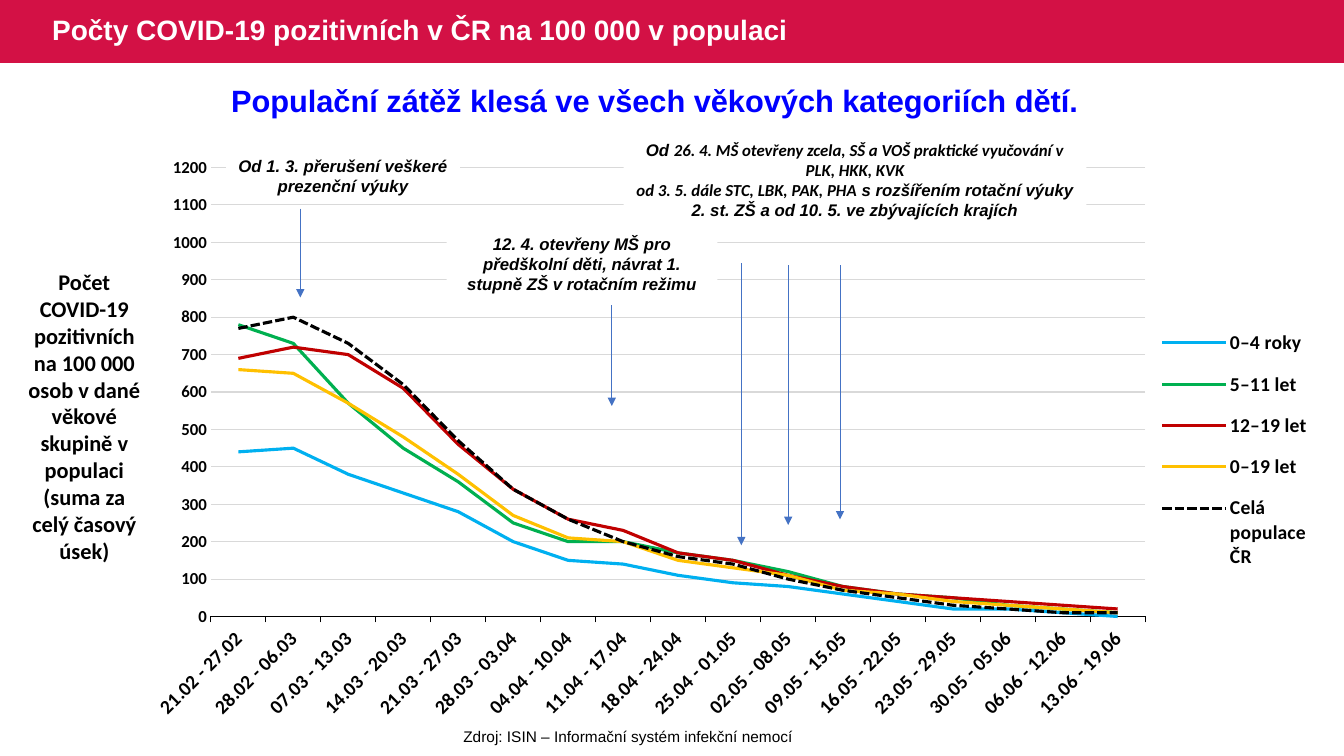
from pptx import Presentation
from pptx.chart.data import CategoryChartData
from pptx.dml.color import RGBColor
from pptx.enum.chart import XL_CHART_TYPE, XL_LEGEND_POSITION, XL_TICK_MARK
from pptx.enum.dml import MSO_LINE
from pptx.enum.shapes import MSO_CONNECTOR, MSO_SHAPE
from pptx.enum.text import MSO_ANCHOR, PP_ALIGN
from pptx.oxml import parse_xml
from pptx.oxml.ns import nsdecls, qn
from pptx.util import Pt

LINE_CHART = XL_CHART_TYPE.LINE
LEGEND_RIGHT = XL_LEGEND_POSITION.RIGHT
TICK_NONE, TICK_OUT = XL_TICK_MARK.NONE, XL_TICK_MARK.OUTSIDE
STRAIGHT, RECT = MSO_CONNECTOR.STRAIGHT, MSO_SHAPE.RECTANGLE
CENTER, LEFT = PP_ALIGN.CENTER, PP_ALIGN.LEFT
TOP, MIDDLE = MSO_ANCHOR.TOP, MSO_ANCHOR.MIDDLE
SYS_DASH = MSO_LINE.SQUARE_DOT

WHITE = RGBColor(0xFF, 0xFF, 0xFF)
BLACK = RGBColor(0x00, 0x00, 0x00)
CRIMSON = RGBColor(0xD3, 0x11, 0x45)
BLUE = RGBColor(0x00, 0x00, 0xFF)
ARROW_BLUE = RGBColor(0x44, 0x72, 0xC4)
GRID_GREY = RGBColor(0xD9, 0xD9, 0xD9)
SKY = RGBColor(0x00, 0xB0, 0xF0)
GREEN = RGBColor(0x00, 0xB0, 0x50)
RED = RGBColor(0xC0, 0x00, 0x00)
AMBER = RGBColor(0xFF, 0xC0, 0x00)


def write(sp, runs, size, color=BLACK, bold=True, italic=False, align=CENTER, anchor=TOP):
    """Fill a shape with one paragraph of (text, font name) runs."""
    tf = sp.text_frame
    tf.word_wrap = True
    tf.vertical_anchor = anchor
    p = tf.paragraphs[0]
    p.alignment = align
    font = p.font
    font.size, font.bold, font.italic = Pt(size), bold, italic
    font.color.rgb = color
    for text, name in runs:
        if text == "\n":
            p.add_line_break()
            continue
        r = p.add_run()
        r.text = text
        r.font.name = name
    return p


def manual_layout(x, y, w, h, target=""):
    """Chart layout given as fractions of the chart area."""
    return parse_xml(
        f'<c:layout {nsdecls("c")}><c:manualLayout>{target}'
        '<c:xMode val="edge"/><c:yMode val="edge"/>'
        f'<c:x val="{x}"/><c:y val="{y}"/><c:w val="{w}"/><c:h val="{h}"/>'
        '</c:manualLayout></c:layout>')


prs = Presentation()
prs.slide_width, prs.slide_height = Pt(960), Pt(540)
s = prs.slides.add_slide(prs.slide_layouts[5])

# Title on its banner
title = s.shapes.title
title.left, title.top, title.width, title.height = Pt(30), Pt(0), Pt(603), Pt(45)
p = write(title, [("Počty COVID-19 pozitivních v ČR na 100 000 v populaci", "Arial")],
          20, WHITE, align=LEFT, anchor=MIDDLE)
p.line_spacing = 0.9
banner = s.shapes.add_shape(RECT, Pt(0), Pt(0), prs.slide_width, Pt(45))
banner.shadow.inherit = False
banner.fill.solid()
banner.fill.fore_color.rgb = CRIMSON
banner.line.fill.background()
title._element.addprevious(banner._element)

# Chart data
cd = CategoryChartData(number_format="0")
cd.categories = [
    "21.02 - 27.02", "28.02 - 06.03", "07.03 - 13.03", "14.03 - 20.03", "21.03 - 27.03",
    "28.03 - 03.04", "04.04 - 10.04", "11.04 - 17.04", "18.04 - 24.04", "25.04 - 01.05",
    "02.05 - 08.05", "09.05 - 15.05", "16.05 - 22.05", "23.05 - 29.05", "30.05 - 05.06",
    "06.06 - 12.06", "13.06 - 19.06"]
age_groups = [
    ("0–4 roky", SKY,
     [440, 450, 380, 330, 280, 200, 150, 140, 110, 90, 80, 60, 40, 20, 20, 10, 0]),
    ("5–11 let", GREEN,
     [780, 730, 570, 450, 360, 250, 200, 200, 170, 150, 120, 80, 60, 50, 30, 20, 10]),
    ("12–19 let", RED,
     [690, 720, 700, 610, 460, 340, 260, 230, 170, 150, 110, 80, 60, 50, 40, 30, 20]),
    ("0–19 let", AMBER,
     [660, 650, 570, 480, 380, 270, 210, 200, 150, 130, 110, 70, 60, 40, 30, 20, 10]),
    ("Celá populace ČR", BLACK,
     [770, 800, 730, 620, 470, 340, 260, 200, 160, 140, 100, 70, 50, 30, 20, 10, 10]),
]
for name, color, values in age_groups:
    cd.add_series(name, values)

# Line chart
chart = s.shapes.add_chart(LINE_CHART, Pt(109.5), Pt(110), Pt(839.5), Pt(422.5), cd).chart
chart.has_title = False
chart.font.name, chart.font.size, chart.font.bold = "Calibri", Pt(14), True
chart.font.color.rgb = BLACK
chart.plots[0].vary_by_categories = False
for series, (name, color, values) in zip(chart.plots[0].series, age_groups):
    series.smooth = False
    series.format.line.width = Pt(2.25)
    series.format.line.color.rgb = color
series.format.line.dash_style = SYS_DASH

# Axes
weeks, cases = chart.category_axis, chart.value_axis
weeks.major_tick_mark = TICK_OUT
weeks.format.line.color.rgb = BLACK
weeks.format.line.width = Pt(0.75)
weeks.tick_labels.font.size = Pt(14)
weeks._element.find(qn("c:txPr")).find(qn("a:bodyPr")).set("rot", "-2700000")
cases.minimum_scale, cases.maximum_scale, cases.major_unit = 0, 1200, 100
cases.major_tick_mark = TICK_NONE
cases.format.line.fill.background()
cases.tick_labels.font.size = Pt(12)
cases.has_major_gridlines = True
cases.major_gridlines.format.line.color.rgb = GRID_GREY
cases.major_gridlines.format.line.width = Pt(0.75)
if cases._element.find(qn("c:crossBetween")) is None:
    cases._element.find(qn("c:crosses")).addnext(
        parse_xml(f'<c:crossBetween {nsdecls("c")} val="between"/>'))

# Legend and plot placement
chart.has_legend = True
legend = chart.legend
legend.position = LEGEND_RIGHT
legend.include_in_layout = False
legend.font.size = Pt(14)
for old in legend._element.findall(qn("c:layout")):
    legend._element.remove(old)
legend._element.find(qn("c:legendPos")).addnext(manual_layout(0.85, 0.27, 0.14, 0.46))
plot_area = chart._chartSpace.chart.plotArea
for old in plot_area.findall(qn("c:layout")):
    plot_area.remove(old)
plot_area.insert(0, manual_layout(0.049, 0.023, 0.795, 0.759,
                                  '<c:layoutTarget val="inner"/>'))

# Headline, axis caption and source
captions = [
    (21, 55, 893.5, 34, "Populační zátěž klesá ve všech věkových kategoriích dětí.",
     "Arial", 22, BLUE, True),
    (11, 188, 98.5, 220.5, "Počet COVID-19 pozitivních na 100 000 osob v dané věkové "
     "skupině v populaci (suma za celý časový úsek)", "Calibri", 16, BLACK, True),
    (170, 515.5, 557.5, 21, "Zdroj: ISIN – Informační systém infekční nemocí",
     "Arial", 11, BLACK, False),
]
for x, y, w, h, text, face, size, color, bold in captions:
    sp = s.shapes.add_textbox(Pt(x), Pt(y), Pt(w), Pt(h))
    write(sp, [(text, face)], size, color, bold)

# White notes on school measures
notes = [
    (161.5, 107.5, 167, 36, [("Od 1. 3. přerušení veškeré prezenční výuky", "Arial")]),
    (319, 163.5, 193.5, 51, [("12. 4. otevřeny MŠ pro předškolní děti, návrat 1. stupně "
                              "ZŠ v rotačním režimu", "Arial")]),
    (445.5, 96, 330.5, 65.5, [
        ("Od ", "Arial"),
        ("26. 4. MŠ otevřeny zcela, SŠ a VOŠ praktické vyučování v PLK, HKK, KVK", "Calibri"),
        ("\n", None),
        ("od 3. 5. dále STC, LBK, PAK, PHA", "Calibri"),
        (" s rozšířením rotační výuky 2. st. ZŠ a od 10. 5. ve zbývajících krajích", "Arial")]),
]
for x, y, w, h, runs in notes:
    sp = s.shapes.add_shape(RECT, Pt(x), Pt(y), Pt(w), Pt(h))
    sp.shadow.inherit = False
    sp.fill.solid()
    sp.fill.fore_color.rgb = WHITE
    sp.line.fill.background()
    write(sp, runs, 12, italic=True)

# Arrows from the notes to the curves: x, top, bottom
arrows = [(214.5, 149, 212.5), (437, 218, 290), (529.5, 188, 389.5),
          (563, 189.5, 375), (600, 189.5, 371)]
for x, top, bottom in arrows:
    arrow = s.shapes.add_connector(STRAIGHT, Pt(x), Pt(top), Pt(x), Pt(bottom))
    arrow.line.color.rgb = ARROW_BLUE
    arrow.line.width = Pt(0.5)
    arrow.line._get_or_add_ln().append(
        parse_xml(f'<a:tailEnd {nsdecls("a")} type="triangle"/>'))
    arrow._element.spPr.append(parse_xml(f'<a:effectLst {nsdecls("a")}/>'))

prs.save("out.pptx")
